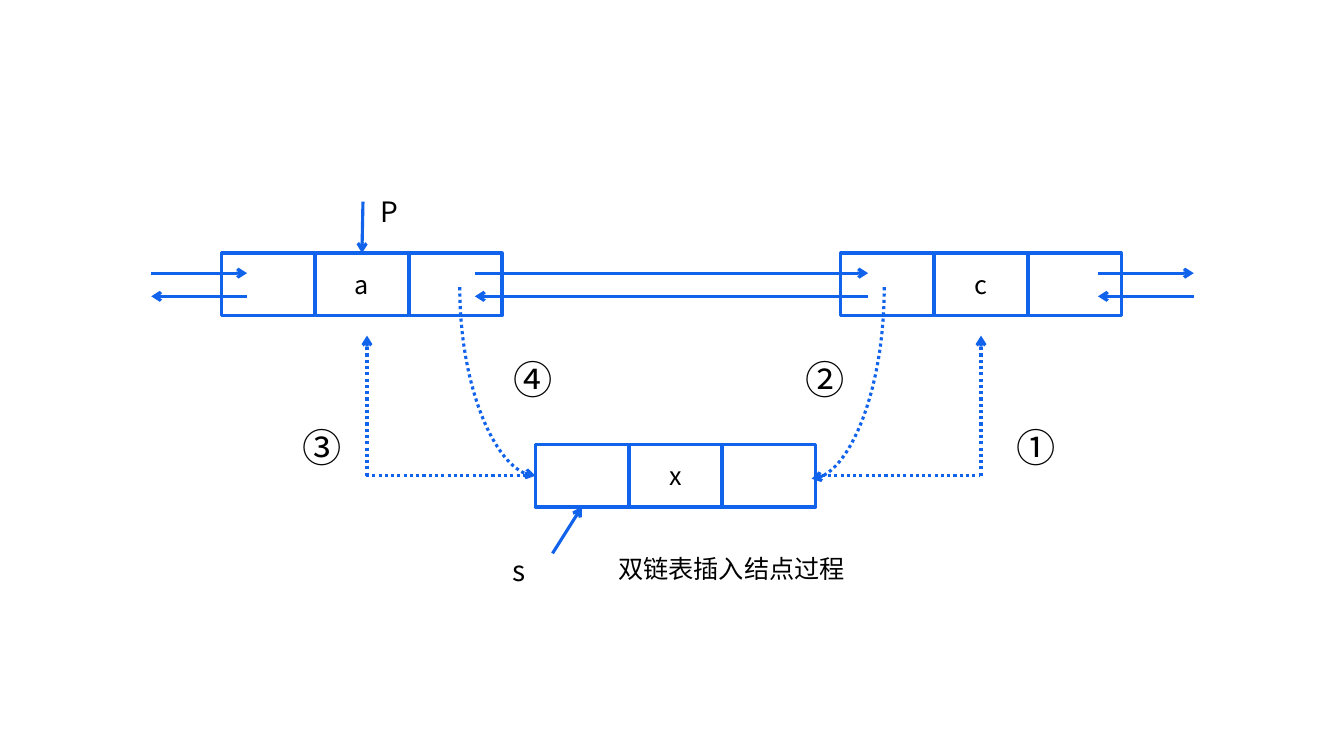
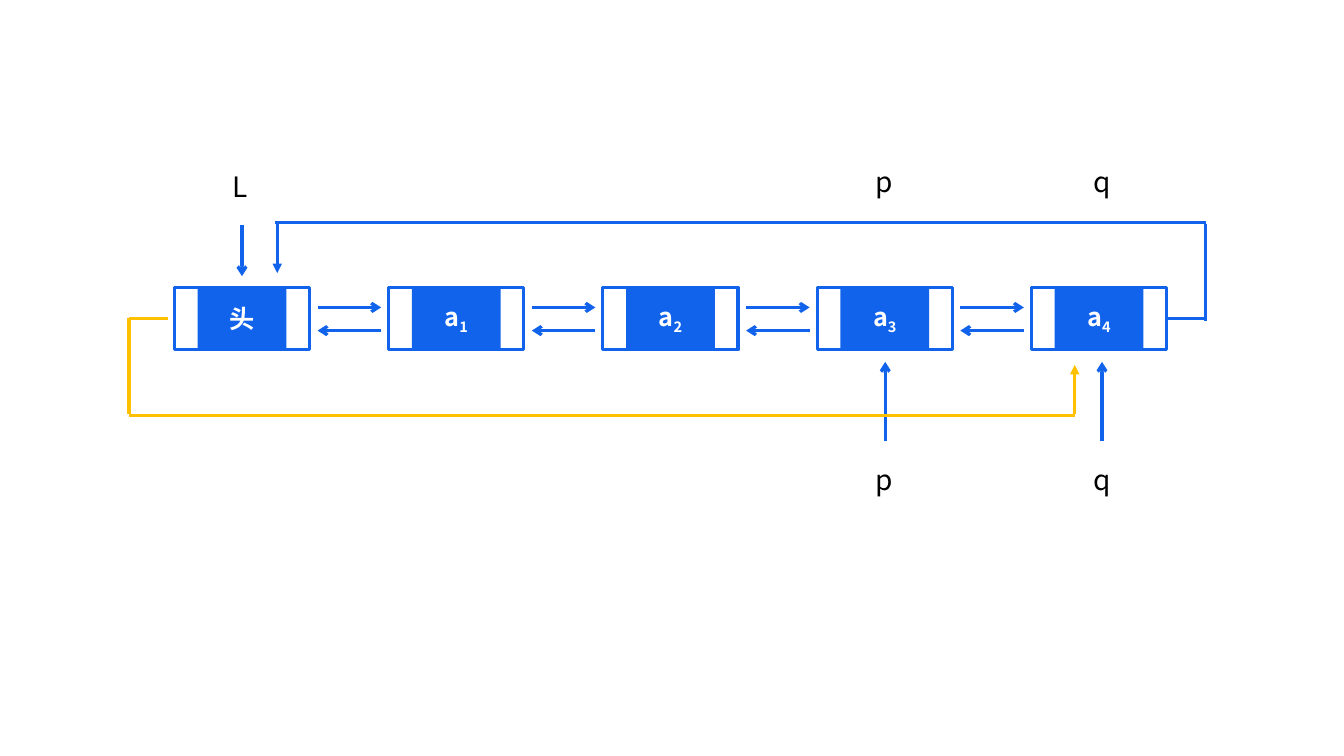
"""Draws two doubly linked list diagrams: inserting a node, and a circular list."""
from typing import Any, NamedTuple

import lxml.etree
import pptx
import pptx.dml.color
import pptx.enum.dml
import pptx.enum.shapes
import pptx.enum.text
import pptx.oxml.ns
import pptx.util

Inches = pptx.util.Inches
BLUE, YELLOW, BLACK, WHITE = "1163EB", "FFC000", "000000", "FFFFFF"
FONT = "Noto Sans CJK SC"
LINE_WIDTH = pptx.util.Pt(2.25)
BOX_HEIGHT = 0.62
CELL_WIDTH, CELL_PITCH = 0.92, 0.93
NODE_TOP, NODE_WIDTH, NODE_COUNT = 2.85, 1.34, 5
FIRST_NODE_LEFT, LAST_NODE_LEFT = 1.73, 10.23
NODE_PITCH = (LAST_NODE_LEFT - FIRST_NODE_LEFT) / (NODE_COUNT - 1)
NODE_MARGIN = 0.23


class Label(NamedTuple):
    text: str
    left: float
    top: float
    width: float
    height: float = 0.44
    size: int = 20
    centred: bool = False


class Line(NamedTuple):
    start: tuple[float, float]
    end: tuple[float, float]
    head: str = ""
    dotted: bool = False
    color: str = BLUE


class Curve(NamedTuple):
    left: float
    top: float
    width: float
    height: float
    mirrored: bool


def rgb(color: str) -> pptx.dml.color.RGBColor:
    return pptx.dml.color.RGBColor.from_string(color)


def add_run(paragraph: Any, text: str, size: int, color: str = BLACK,
            bold: bool = False, subscript: bool = False) -> None:
    run = paragraph.add_run()
    run.text = text
    run.font.size = pptx.util.Pt(size)
    run.font.bold = bold
    run.font.color.rgb = rgb(color)
    run.font.name = FONT
    properties = run._r.get_or_add_rPr()
    lxml.etree.SubElement(properties, pptx.oxml.ns.qn("a:ea")).set("typeface", FONT)
    if subscript:
        properties.set("baseline", "-25000")


def add_label(shapes: Any, label: Label) -> None:
    box = shapes.add_textbox(Inches(label.left), Inches(label.top),
                             Inches(label.width), Inches(label.height))
    box.text_frame.word_wrap = False
    box.text_frame.auto_size = pptx.enum.text.MSO_AUTO_SIZE.SHAPE_TO_FIT_TEXT
    paragraph = box.text_frame.paragraphs[0]
    if label.centred:
        paragraph.alignment = pptx.enum.text.PP_ALIGN.CENTER
    add_run(paragraph, label.text, label.size)


def add_box(shapes: Any, left: float, top: float, width: float, filled: bool = False) -> Any:
    box = shapes.add_shape(pptx.enum.shapes.MSO_SHAPE.RECTANGLE, Inches(left), Inches(top),
                           Inches(width), Inches(BOX_HEIGHT))
    box.shadow.inherit = False
    if filled:
        box.fill.solid()
        box.fill.fore_color.rgb = rgb(BLUE)
        box.line.fill.background()
    else:
        box.fill.background()
        box.line.color.rgb = rgb(BLUE)
        box.line.width = LINE_WIDTH
    box.text_frame.vertical_anchor = pptx.enum.text.MSO_ANCHOR.MIDDLE
    box.text_frame.paragraphs[0].alignment = pptx.enum.text.PP_ALIGN.CENTER
    return box


def style_connector(connector: Any, color: str, head: str, dotted: bool) -> None:
    connector.line.color.rgb = rgb(color)
    connector.line.width = LINE_WIDTH
    if dotted:
        connector.line.dash_style = pptx.enum.dml.MSO_LINE.ROUND_DOT
    if head:
        outline = connector.get_or_add_ln()
        lxml.etree.SubElement(outline, pptx.oxml.ns.qn("a:tailEnd")).set("type", head)
    lxml.etree.SubElement(connector.element.spPr, pptx.oxml.ns.qn("a:effectLst"))


def add_line(shapes: Any, line: Line) -> Any:
    connector = shapes.add_connector(pptx.enum.shapes.MSO_CONNECTOR.STRAIGHT,
                                     *map(Inches, line.start + line.end))
    style_connector(connector, line.color, line.head, line.dotted)
    return connector


def add_curve(shapes: Any, curve: Curve) -> None:
    connector = shapes.add_connector(
        pptx.enum.shapes.MSO_CONNECTOR.CURVE, Inches(curve.left), Inches(curve.top),
        Inches(curve.left + curve.width), Inches(curve.top + curve.height))
    properties = connector.element.spPr
    properties.find(pptx.oxml.ns.qn("a:prstGeom")).set("prst", "curvedConnector2")
    transform = properties.find(pptx.oxml.ns.qn("a:xfrm"))
    transform.set("rot", "5400000")
    if curve.mirrored:
        transform.set("flipV", "1")
    style_connector(connector, BLUE, "arrow", True)


def add_link_pair(shapes: Any, left: float, right: float, top: float) -> None:
    bottom = top + 0.23
    add_line(shapes, Line((left, top), (right, top), "arrow"))
    add_line(shapes, Line((right, bottom), (left, bottom), "arrow"))


def add_three_cells(shapes: Any, left: float, top: float, name: str) -> list[Any]:
    cells = [add_box(shapes, left + column * CELL_PITCH, top, CELL_WIDTH) for column in range(3)]
    add_run(cells[1].text_frame.paragraphs[0], name, 18)
    return cells


def add_list_node(slide: Any, left: float, name: str, index: str) -> Any:
    group = slide.shapes.add_group_shape()
    frame = add_box(group.shapes, left, NODE_TOP, NODE_WIDTH)
    core = add_box(group.shapes, left + NODE_MARGIN, NODE_TOP,
                   NODE_WIDTH - 2 * NODE_MARGIN, filled=True)
    paragraph = core.text_frame.paragraphs[0]
    add_run(paragraph, name, 18, WHITE, bold=True)
    if index:
        add_run(paragraph, index, 18, WHITE, bold=True, subscript=True)
    return frame


def build_insertion(slide: Any) -> None:
    shapes = slide.shapes
    cells_a = add_three_cells(shapes, 2.2, 2.51, "a")
    add_three_cells(shapes, 8.34, 2.51, "c")
    cells_x = add_three_cells(shapes, 5.31, 4.41, "x")
    for left, right in ((1.5, 2.45), (4.71, 8.61), (10.89, 11.84)):
        add_link_pair(shapes, left, right, 2.71)

    pointer_p = add_line(shapes, Line((3.6, 2), (3.6, 2.51), "arrow"))
    pointer_p.end_connect(cells_a[1], 0)
    pointer_s = add_line(shapes, Line((5.48, 5.49), (5.76, 5.03), "arrow"))
    pointer_s.end_connect(cells_x[0], 2)
    prior_link = add_line(shapes, Line((3.63, 4.72), (5.31, 4.72), dotted=True))
    prior_link.end_connect(cells_x[0], 1)
    for line in (
        Line((3.64, 4.72), (3.64, 3.33), "arrow", True),
        Line((8.15, 4.72), (9.71, 4.72), dotted=True),
        Line((9.73, 4.72), (9.73, 3.33), "arrow", True),
    ):
        add_line(shapes, line)
    add_curve(shapes, Curve(7.46, 3.44, 1.9, 0.72, False))
    add_curve(shapes, Curve(4, 3.41, 1.87, 0.75, True))

    for step, left, top in (("①", 9.98, 4.15), ("②", 7.89, 3.48),
                            ("③", 2.9, 4.15), ("④", 4.99, 3.48)):
        add_label(shapes, Label(step, left, top, 0.59, 0.57, 28))
    add_label(shapes, Label("P", 3.68, 1.88, 0.38))
    add_label(shapes, Label("s", 4.98, 5.44, 0.35))
    add_label(shapes, Label("双链表插入结点过程", 6.03, 5.44, 2.45, 0.4, 18, True))


def build_circular_list(slide: Any) -> None:
    shapes = slide.shapes
    lefts = [FIRST_NODE_LEFT + position * NODE_PITCH for position in range(NODE_COUNT)]
    frames = [add_list_node(slide, left, "a" if position else "头", str(position or ""))
              for position, left in enumerate(lefts)]
    for left in lefts[:-1]:
        group = slide.shapes.add_group_shape()
        add_link_pair(group.shapes, left + 1.42, left + 2.05, 3.05)

    add_line(shapes, Line((2.4, 2.23), (2.4, 2.74), "arrow"))
    add_label(shapes, Label("L", 2.21, 1.63, 0.36))
    for name, center, left in (("p", 8.78, 8.59), ("q", 10.93, 10.75)):
        add_line(shapes, Line((center, 4.38), (center, 3.59), "arrow"))
        for top in (4.54, 1.58):
            add_label(shapes, Label(name, left, top, 0.37))

    tail_link = add_line(shapes, Line((11.57, 3.16), (11.96, 3.16)))
    tail_link.begin_connect(frames[-1], 3)
    for line in (
        Line((11.96, 3.18), (11.96, 2.22)),
        Line((11.96, 2.21), (2.73, 2.21)),
        Line((2.75, 2.22), (2.75, 2.71), "triangle"),
        Line((1.67, 3.16), (1.28, 3.16), color=YELLOW),
        Line((1.28, 3.15), (1.28, 4.11), color=YELLOW),
        Line((1.28, 4.12), (10.66, 4.12), color=YELLOW),
        Line((10.66, 4.11), (10.66, 3.62), "triangle", color=YELLOW),
    ):
        add_line(shapes, line)


def main() -> None:
    presentation = pptx.Presentation()
    presentation.slide_width = Inches(13.33)
    presentation.slide_height = Inches(7.5)
    for build in (build_insertion, build_circular_list):
        build(presentation.slides.add_slide(presentation.slide_layouts[6]))
    presentation.save("out.pptx")


if __name__ == "__main__":
    main()
